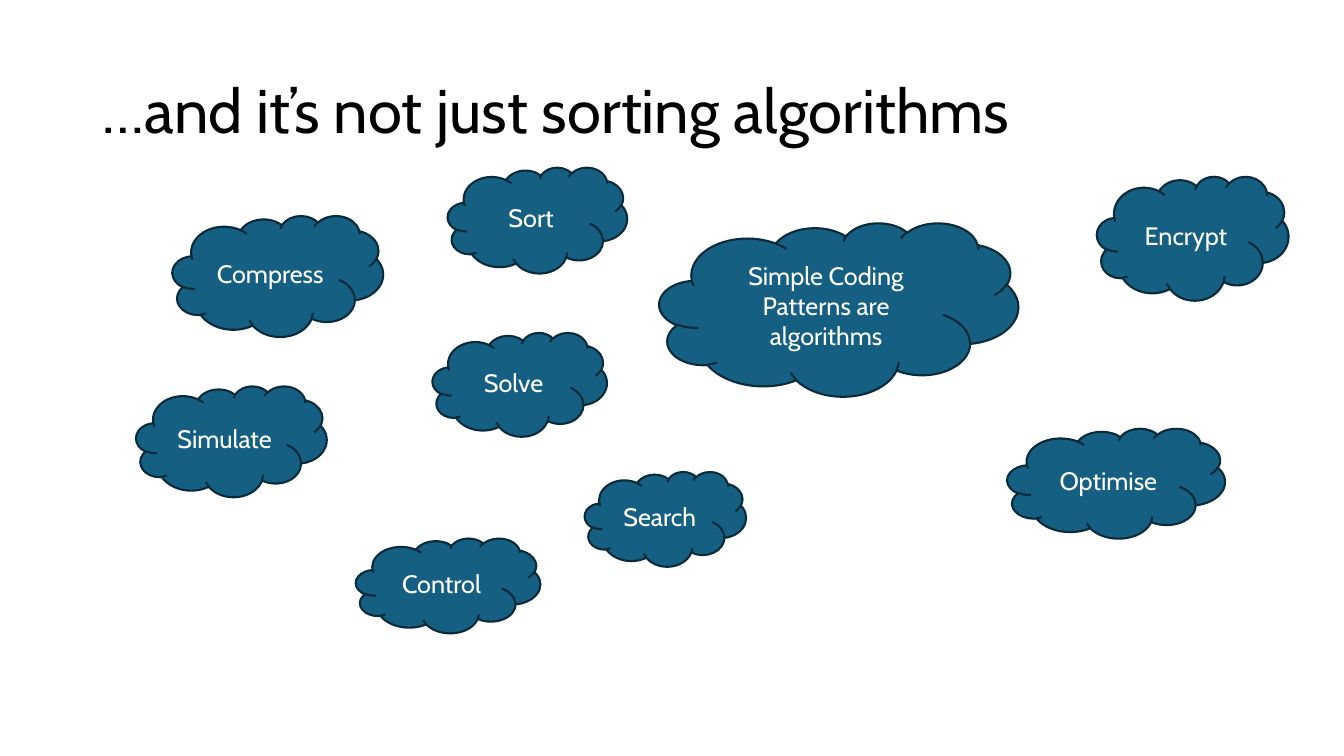
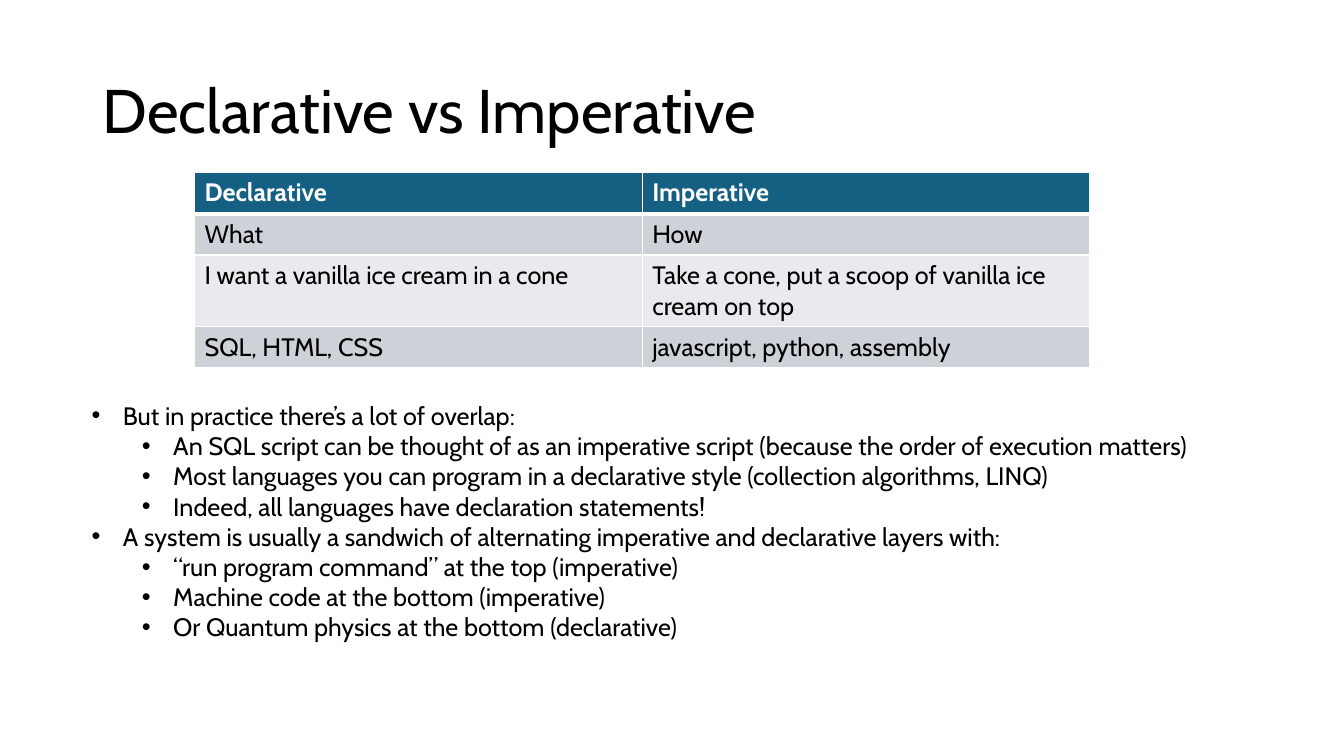
from pptx import Presentation
from pptx.dml.color import RGBColor
from pptx.enum.shapes import MSO_SHAPE
from pptx.enum.text import MSO_ANCHOR, MSO_AUTO_SIZE, PP_ALIGN
from pptx.oxml.ns import qn
from pptx.util import Pt
from lxml.etree import SubElement

# Shared look: 100 px to the inch
PX = 9144
FONT = "Cabin"
BLACK = RGBColor(0x00, 0x00, 0x00)
WHITE = RGBColor(0xFF, 0xFF, 0xFF)
BLUE = RGBColor(0x15, 0x60, 0x82)
NAVY = RGBColor(0x09, 0x2A, 0x39)
GREY = RGBColor(0xCC, 0xD2, 0xD8)
PALE = RGBColor(0xE8, 0xEA, 0xED)
TITLE = (92, 40, 1150, 145)

CLOUDS = [
    ("Compress", (171, 214, 209, 120)),
    ("Simple Coding Patterns are algorithms", (654, 221, 356, 172)),
    ("Solve", (429, 330, 173, 103)),
    ("Sort", (444, 166, 178, 105)),
    ("Search", (580, 468, 160, 94)),
    ("Optimise", (999, 425, 216, 109)),
    ("Encrypt", (1088, 175, 190, 123)),
    ("Simulate", (135, 383, 189, 110)),
    ("Control", (353, 534, 183, 94)),
]

ROWS = [
    (41, "Declarative", "Imperative"),
    (41, "What", "How"),
    (69, "I want a vanilla ice cream in a cone",
     "Take a cone, put a scoop of vanilla ice cream on top"),
    (41, "SQL, HTML, CSS", "javascript, python, assembly"),
]

POINTS = [
    (0, "But in practice there’s a lot of overlap:"),
    (1, "An SQL script can be thought of as an imperative script "
        "(because the order of execution matters)"),
    (1, "Most languages you can program in a declarative style "
        "(collection algorithms, LINQ)"),
    (1, "Indeed, all languages have declaration statements!"),
    (0, "A system is usually a sandwich of alternating imperative "
        "and declarative layers with:"),
    (1, "“run program command” at the top (imperative)"),
    (1, "Machine code at the bottom (imperative)"),
    (1, "Or Quantum physics at the bottom (declarative)"),
]


def emu(box):
    return [n * PX for n in box]


def write(para, text, size=18, color=BLACK, bold=False,
          align=PP_ALIGN.LEFT, spacing=None):
    para.alignment = align
    if spacing:
        para.line_spacing = spacing
    run = para.add_run()
    run.text = text
    font = run.font
    font.name, font.size, font.bold = FONT, Pt(size), bold
    font.color.rgb = color


def bullet(para, level):
    para.level = level
    props = para._p.get_or_add_pPr()
    props.set("marL", str((31 + 50 * level) * PX))
    props.set("indent", str(-31 * PX))
    SubElement(props, qn("a:buFont"), typeface="Arial")
    SubElement(props, qn("a:buChar"), char="•")


def border(cell, **widths):
    props = cell._tc.get_or_add_tcPr()
    for side, width in widths.items():
        line = SubElement(props, qn("a:ln" + side), w=str(Pt(width)))
        fill = SubElement(line, qn("a:solidFill"))
        SubElement(fill, qn("a:srgbClr"), val=str(WHITE))


def start(deck, text):
    """Add a slide with the shared title."""
    slide = deck.slides.add_slide(deck.slide_layouts[5])
    title = slide.shapes.title
    title.left, title.top, title.width, title.height = emu(TITLE)
    frame = title.text_frame
    frame.auto_size = MSO_AUTO_SIZE.NONE
    frame.vertical_anchor = MSO_ANCHOR.MIDDLE
    write(frame.paragraphs[0], text, size=44, spacing=0.9)
    return slide


def cloud(slide, text, box):
    shape = slide.shapes.add_shape(MSO_SHAPE.CLOUD, *emu(box))
    shape.shadow.inherit = False
    shape.fill.solid()
    shape.fill.fore_color.rgb = BLUE
    shape.line.color.rgb = NAVY
    shape.line.width = Pt(1.5)
    frame = shape.text_frame
    frame.word_wrap = True
    frame.vertical_anchor = MSO_ANCHOR.MIDDLE
    write(frame.paragraphs[0], text, color=WHITE, align=PP_ALIGN.CENTER)


def grid(slide, rows, box):
    cols = len(rows[0]) - 1
    table = slide.shapes.add_table(len(rows), cols, *emu(box)).table
    table.horz_banding = False
    for r, (height, *texts) in enumerate(rows):
        head = r == 0
        table.rows[r].height = height * PX
        for c, text in enumerate(texts):
            cell = table.cell(r, c)
            # Thick rule between the header and the body
            border(cell, L=1, R=1, T=3 if r == 1 else 1, B=3 if head else 1)
            cell.fill.solid()
            cell.fill.fore_color.rgb = BLUE if head else GREY if r % 2 else PALE
            write(cell.text_frame.paragraphs[0], text,
                  color=WHITE if head else BLACK, bold=head)


def outline(slide, points, box):
    frame = slide.shapes.add_textbox(*emu(box)).text_frame
    frame.word_wrap = True
    frame.auto_size = MSO_AUTO_SIZE.SHAPE_TO_FIT_TEXT
    for n, (level, text) in enumerate(points):
        para = frame.add_paragraph() if n else frame.paragraphs[0]
        bullet(para, level)
        write(para, text)


def main():
    deck = Presentation()
    deck.slide_width, deck.slide_height = emu((1333, 750))

    # Cloud of algorithm kinds
    slide = start(deck, "…and it’s not just sorting algorithms")
    for text, box in CLOUDS:
        cloud(slide, text, box)

    # Comparison table and notes on overlap
    slide = start(deck, "Declarative vs Imperative")
    grid(slide, ROWS, (193, 171, 888, 192))
    outline(slide, POINTS, (81, 392, 1145, 252))

    deck.save("out.pptx")


if __name__ == "__main__":
    main()
